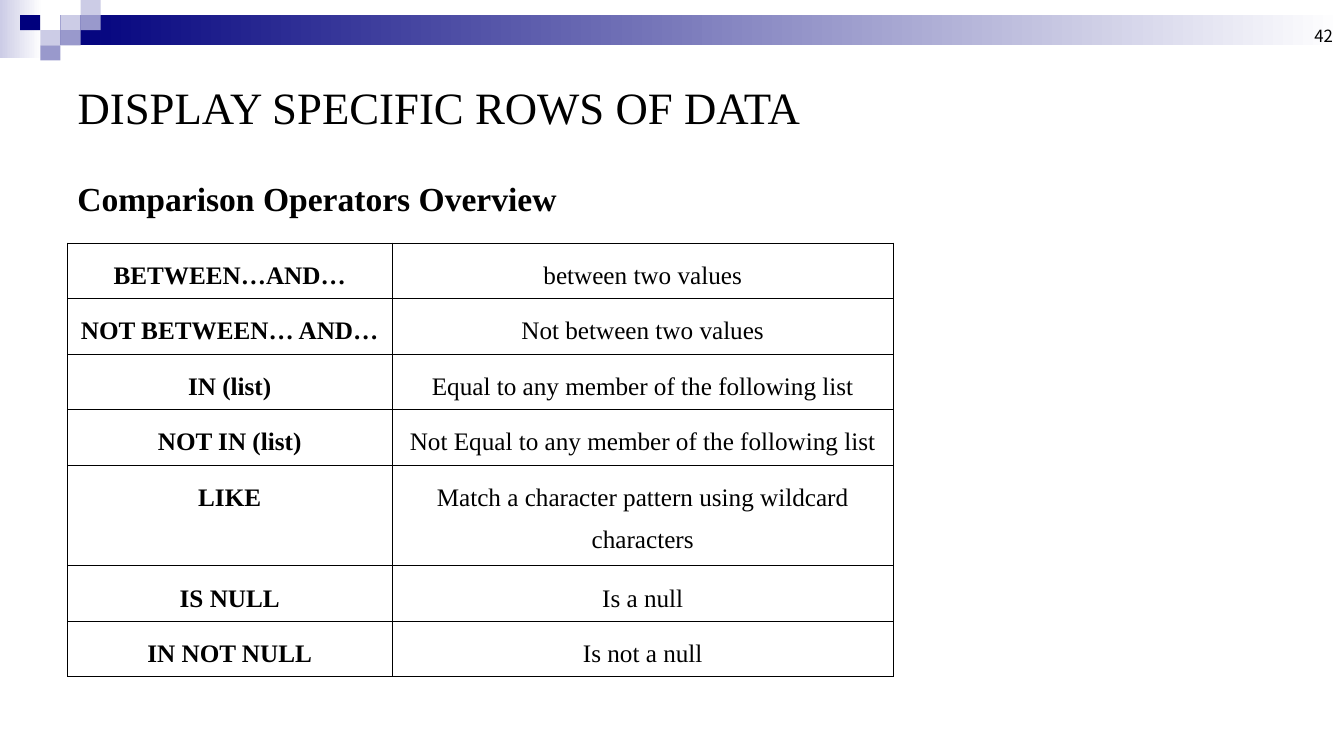
"""Build the slide on comparison operators for choosing rows of data."""
from typing import NamedTuple

from lxml.etree import SubElement
from pptx import Presentation
from pptx.dml.color import RGBColor
from pptx.enum.shapes import MSO_SHAPE as Form
from pptx.enum.text import MSO_ANCHOR as Anchor, PP_ALIGN as Align
from pptx.oxml.ns import qn
from pptx.slide import Slide
from pptx.table import _Cell as Cell
from pptx.text.text import TextFrame as Frame
from pptx.util import Inches, Pt

BLACK = RGBColor(0x00, 0x00, 0x00)
WHITE = RGBColor(0xFF, 0xFF, 0xFF)
NAVY = RGBColor(0x00, 0x00, 0x7D)
LILAC = RGBColor(0xCC, 0xCC, 0xE6)
MAUVE = RGBColor(0x99, 0x99, 0xCC)
SERIF = "Times New Roman"
SANS = "Noto Sans CJK KR"
TILE_W, TILE_H = 0.2, 0.15
ROW_H, TALL_H = 0.55, 1.0


class Box(NamedTuple):
    left: float
    top: float
    width: float
    height: float


class Band(NamedTuple):
    box: Box
    start: RGBColor


class Tile(NamedTuple):
    col: int
    row: int
    color: RGBColor


class Rule(NamedTuple):
    name: str
    sense: str
    height: float = ROW_H


BANDS = [
    Band(Box(0, 0, 0.42, 0.58), LILAC),
    Band(Box(0.6, 0.15, 12.73, 0.3), NAVY),
]
TILES = [
    Tile(3, 1, LILAC),
    Tile(4, 0, LILAC),
    Tile(4, 1, MAUVE),
    Tile(2, 2, LILAC),
    Tile(1, 1, NAVY),
    Tile(3, 2, MAUVE),
    Tile(2, 3, MAUVE),
]
RULES = [
    Rule("BETWEEN…AND…", "between two values"),
    Rule("NOT BETWEEN… AND…", "Not between two values"),
    Rule("IN (list)", "Equal to any member of the following list"),
    Rule("NOT IN (list)", "Not Equal to any member of the following list"),
    Rule("LIKE", "Match a character pattern using wildcard characters", TALL_H),
    Rule("IS NULL", "Is a null"),
    Rule("IN NOT NULL", "Is not a null"),
]


def place(box: Box) -> list[int]:
    return [Inches(size) for size in box]


def add_rect(slide: Slide, box: Box, color: RGBColor, fade: bool = False) -> None:
    rect = slide.shapes.add_shape(Form.RECTANGLE, *place(box))
    rect.shadow.inherit = False
    rect.line.fill.background()
    if fade:
        rect.fill.gradient()
        rect.fill.gradient_angle = 0
        for stop, shade in zip(rect.fill.gradient_stops, (color, WHITE)):
            stop.color.rgb = shade
    else:
        rect.fill.solid()
        rect.fill.fore_color.rgb = color


def set_text(frame: Frame, text: str, size: int, align: Align = Align.LEFT,
             bold: bool = False, face: str = SERIF) -> None:
    frame.text = text
    frame.word_wrap = True
    line = frame.paragraphs[0]
    line.alignment = align
    for run in line.runs:
        font = run.font
        font.name, font.size, font.bold = face, Pt(size), bold
        font.color.rgb = BLACK


def add_label(slide: Slide, box: Box) -> Frame:
    return slide.shapes.add_textbox(*place(box)).text_frame


def set_cell(cell: Cell, text: str, bold: bool) -> None:
    props = cell._tc.get_or_add_tcPr()
    for side in ("lnL", "lnR", "lnT", "lnB"):
        edge = SubElement(props, qn(f"a:{side}"), w=str(Pt(0.45)))
        solid = SubElement(edge, qn("a:solidFill"))
        SubElement(solid, qn("a:srgbClr"), val=str(BLACK))
    cell.fill.background()
    set_text(cell.text_frame, text, 18, Align.CENTER, bold)
    cell.text_frame.paragraphs[0].line_spacing = 1.5


def add_rules(slide: Slide, box: Box) -> None:
    table = slide.shapes.add_table(len(RULES), 2, *place(box)).table
    table.first_row = table.horz_banding = False
    for col, width in zip(table.columns, (3.22, 4.98)):
        col.width = Inches(width)
    for row, rule in zip(table.rows, RULES):
        row.height = Inches(rule.height)
        set_cell(row.cells[0], rule.name, True)
        set_cell(row.cells[1], rule.sense, False)


def main() -> None:
    deck = Presentation()
    deck.slide_width, deck.slide_height = Inches(13.34), Inches(7.5)
    slide = deck.slides.add_slide(deck.slide_layouts[5])

    for band in BANDS:
        add_rect(slide, band.box, band.start, fade=True)
    for tile in TILES:
        spot = Box(tile.col * TILE_W, tile.row * TILE_H, TILE_W, TILE_H)
        add_rect(slide, spot, tile.color)

    page = add_label(slide, Box(10.22, 0, 3.11, 0.5))
    set_text(page, "42", 12, Align.RIGHT, face=SANS)
    page.vertical_anchor = Anchor.BOTTOM

    title = slide.shapes.title
    title.left, title.top, title.width, title.height = place(Box(0.67, 0.5, 12, 1.12))
    set_text(title.text_frame, "DISPLAY SPECIFIC ROWS OF DATA", 32)
    title.text_frame.vertical_anchor = Anchor.MIDDLE

    head = add_label(slide, Box(0.67, 1.72, 8.92, 0.55))
    set_text(head, "Comparison Operators Overview", 24, bold=True)

    add_rules(slide, Box(0.67, 2.41, 8.2, sum(rule.height for rule in RULES)))
    deck.save("out.pptx")


if __name__ == "__main__":
    main()
